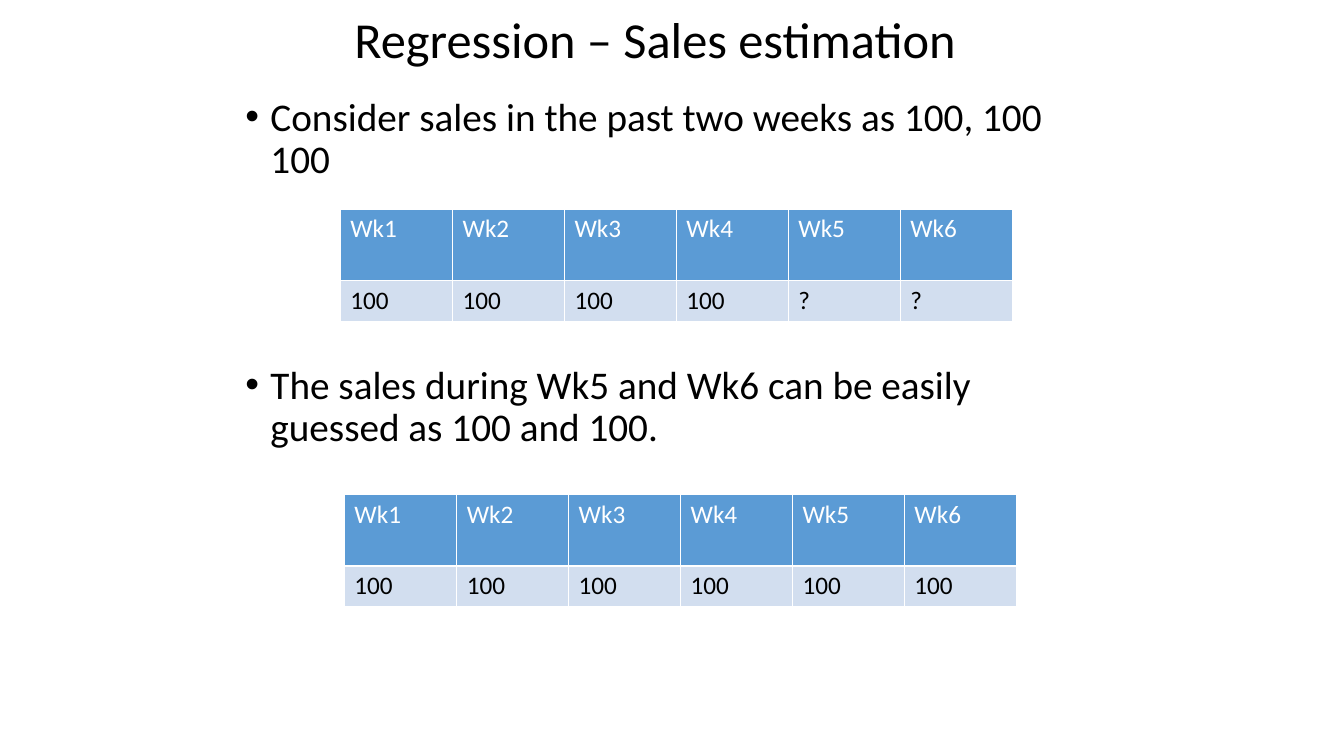
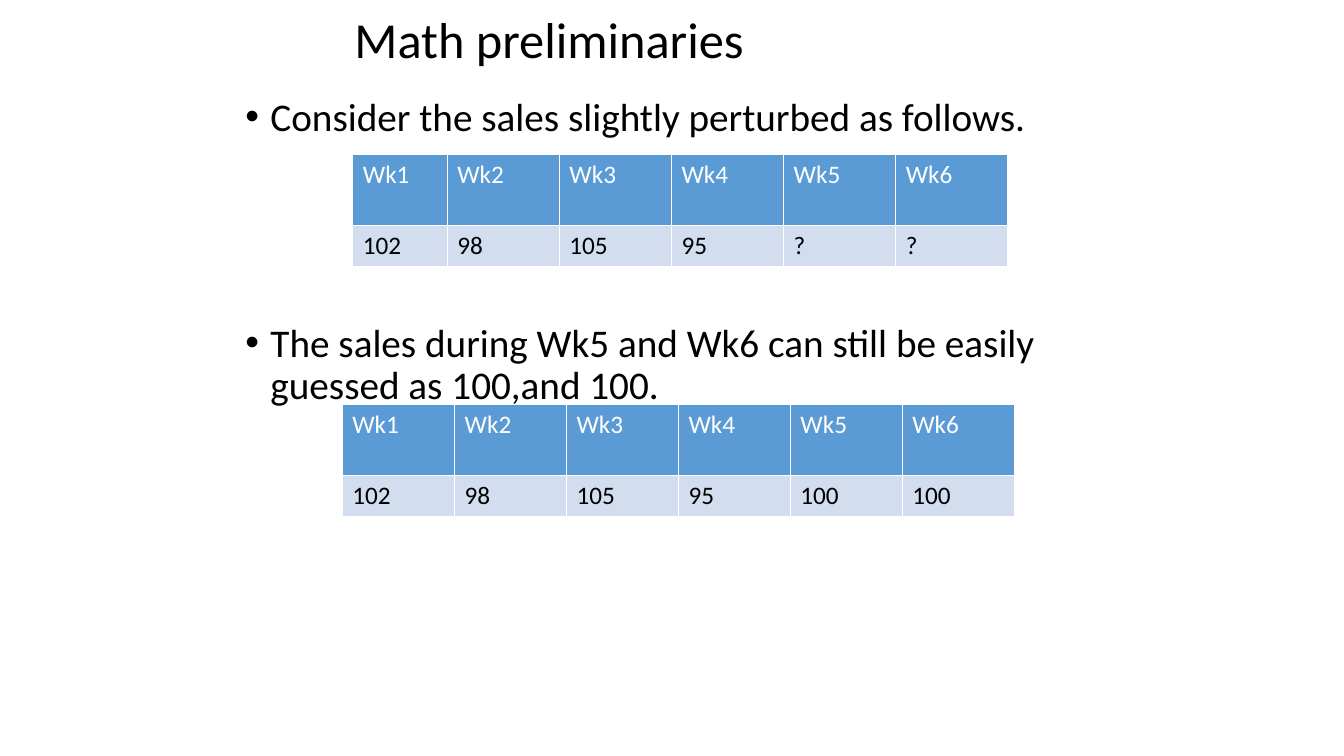
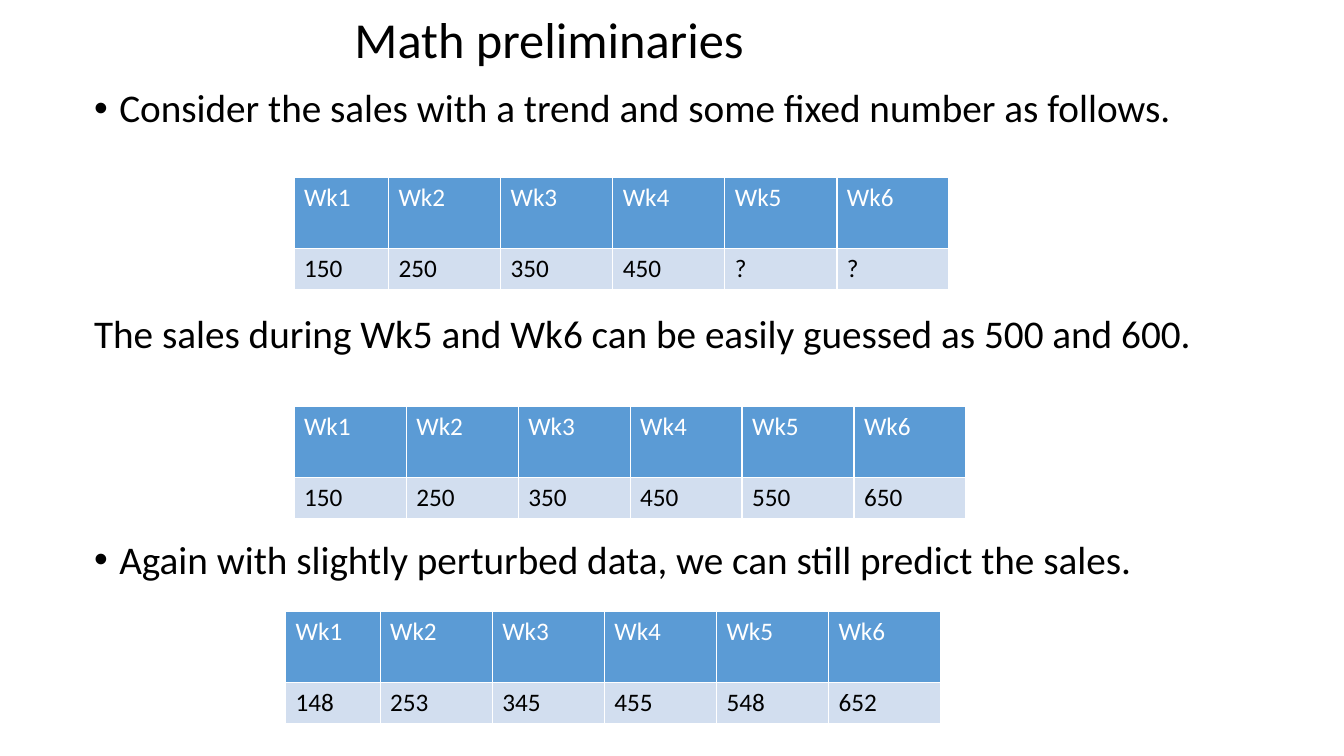
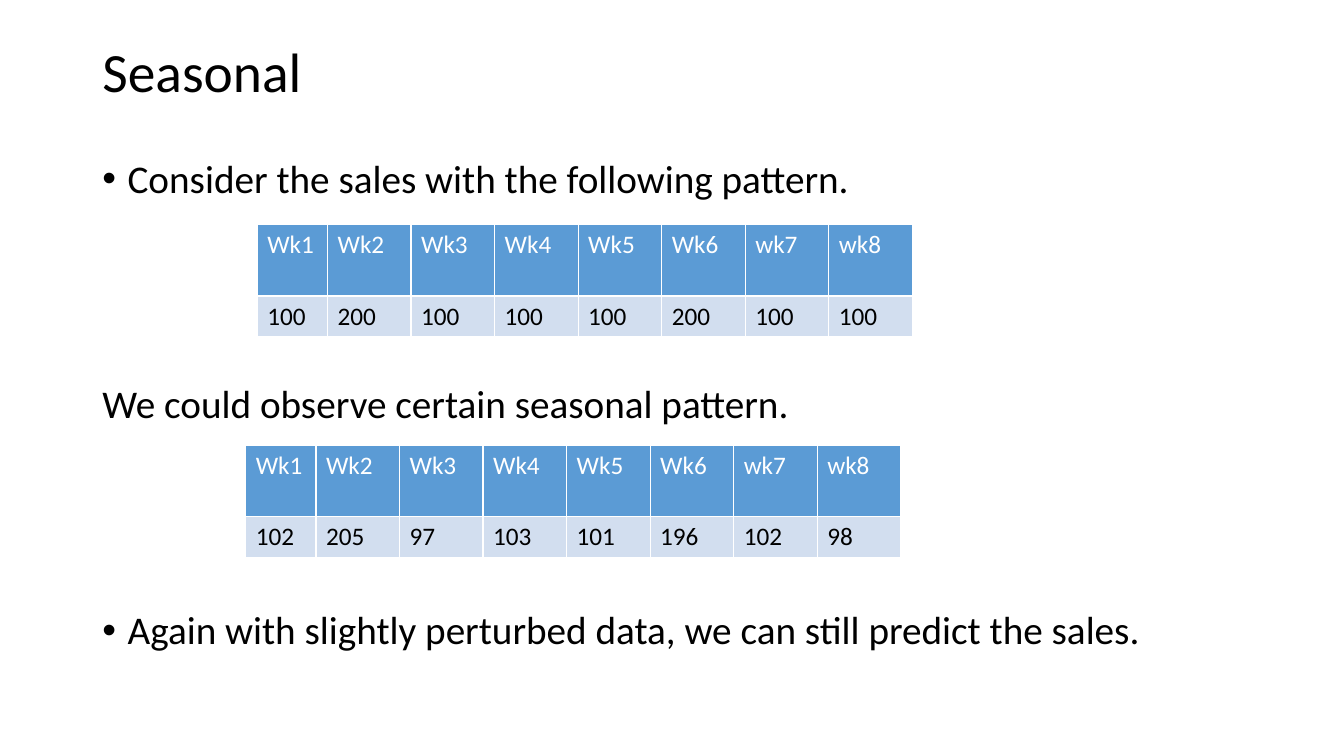
import pptx
import pptx.dml.color
import pptx.enum.text
import pptx.oxml
import pptx.oxml.ns
import pptx.util

PX = 9525
FONT = "Calibri"
COLORS = {"text": "000000", "header": "5B9BD5", "header_text": "FFFFFF", "values": "D2DEEF"}
HEADER_HEIGHT, VALUES_HEIGHT = 68, 39
TABLE_GAP = 131  # points left between paragraphs for a table
BULLET_INDENT = 24

SIX_WEEKS = ["Wk1", "Wk2", "Wk3", "Wk4", "Wk5", "Wk6"]
EIGHT_WEEKS = SIX_WEEKS + ["wk7", "wk8"]
TITLE_BOX = (328, 0, 637, 80)
NARROW_BODY = (224, 88, 840, 600)

# Points: (text, bulleted). Tables: (left, top, width, first column width, weeks, sales).
SLIDES = [
    {
        "title": "Regression – Sales estimation", "title_box": TITLE_BOX, "title_size": 36,
        "body_box": NARROW_BODY,
        "points": [
            ("Consider sales in the past two weeks as 100, 100 100", True),
            ("The sales during Wk5 and Wk6 can be easily guessed as 100 and 100.", True),
        ],
        "tables": [
            (324, 199, 640, 107, SIX_WEEKS, [100, 100, 100, 100, "?", "?"]),
            (328, 471, 640, 107, SIX_WEEKS, [100] * 6),
        ],
    },
    {
        "title": "Math preliminaries", "title_box": TITLE_BOX, "title_size": 36,
        "body_box": NARROW_BODY,
        "points": [
            ("Consider the sales slightly perturbed as follows.", True),
            ("The sales during Wk5 and Wk6 can still be easily guessed as 100,and 100.", True),
        ],
        "tables": [
            (336, 147, 624, 90, SIX_WEEKS, [102, 98, 105, 95, "?", "?"]),
            (326, 385, 640, 107, SIX_WEEKS, [102, 98, 105, 95, 100, 100]),
        ],
    },
    {
        "title": "Math preliminaries", "title_box": TITLE_BOX, "title_size": 36,
        "body_box": (80, 80, 1148, 608),
        "points": [
            ("Consider the sales with a trend and some fixed number as follows.", True),
            ("The sales during Wk5 and Wk6 can be easily guessed as 500 and 600.", False),
            ("Again with slightly perturbed data, we can still predict the sales.", True),
        ],
        "tables": [
            (280, 169, 624, 90, SIX_WEEKS, [150, 250, 350, 450, "?", "?"]),
            (280, 387, 640, 107, SIX_WEEKS, [150, 250, 350, 450, 550, 650]),
            (272, 582, 624, 90, SIX_WEEKS, [148, 253, 345, 455, 548, 652]),
        ],
    },
    {
        "title": "Seasonal", "title_box": (88, 38, 1104, 66), "title_size": 39.6,
        "body_box": (88, 147, 1140, 541),
        "points": [
            ("Consider the sales with the following pattern.", True),
            ("We could observe certain seasonal pattern.", False),
            ("Again with slightly perturbed data, we can still predict the sales.", True),
        ],
        "tables": [
            (245, 214, 624, 67, EIGHT_WEEKS, [100, 200, 100, 100, 100, 200, 100, 100]),
            (234, 424, 624, 67, EIGHT_WEEKS, [102, 205, 97, 103, 101, 196, 102, 98]),
        ],
    },
]


def place(placeholder, box):
    placeholder.left, placeholder.top, placeholder.width, placeholder.height = (n * PX for n in box)
    placeholder.text_frame.word_wrap = True
    placeholder.text_frame.auto_size = pptx.enum.text.MSO_AUTO_SIZE.NONE


def style_paragraph(paragraph, size, color):
    paragraph.alignment = pptx.enum.text.PP_ALIGN.LEFT
    for run in paragraph.runs:
        run.font.name = FONT
        run.font.size = pptx.util.Pt(size)
        run.font.bold = False
        run.font.color.rgb = pptx.dml.color.RGBColor.from_string(COLORS[color])


deck = pptx.Presentation()
deck.slide_width, deck.slide_height = 1280 * PX, 720 * PX

for content in SLIDES:
    slide = deck.slides.add_slide(deck.slide_layouts[1])

    title = slide.shapes.title
    place(title, content["title_box"])
    title.text_frame.text = content["title"]
    title.text_frame.vertical_anchor = pptx.enum.text.MSO_ANCHOR.MIDDLE
    title.text_frame.paragraphs[0].line_spacing = 0.9
    style_paragraph(title.text_frame.paragraphs[0], content["title_size"], "text")

    body = slide.placeholders[1]
    place(body, content["body_box"])
    body.text_frame.text = "\n".join(text for text, _ in content["points"])
    for number, point in enumerate(body.text_frame.paragraphs):
        bulleted = content["points"][number][1]
        point.line_spacing = 0.9
        point.space_before = pptx.util.Pt(TABLE_GAP if number else 10)
        style_paragraph(point, 28, "text")
        indent = BULLET_INDENT * PX if bulleted else 0
        properties = point._p.get_or_add_pPr()
        properties.set("marL", str(indent))
        properties.set("indent", str(-indent))
        bullet = '<a:buChar {} char="•"/>' if bulleted else "<a:buNone {}/>"
        properties.append(pptx.oxml.parse_xml(bullet.format(pptx.oxml.ns.nsdecls("a"))))

    for left, top, width, first_width, weeks, sales in content["tables"]:
        table = slide.shapes.add_table(
            2, len(weeks), left * PX, top * PX, width * PX, (HEADER_HEIGHT + VALUES_HEIGHT) * PX
        ).table
        table.rows[0].height = HEADER_HEIGHT * PX
        table.rows[1].height = VALUES_HEIGHT * PX
        other_width = (width - first_width) * PX // (len(weeks) - 1)
        for number, column in enumerate(table.columns):
            column.width = other_width if number else first_width * PX
        row_styles = [(weeks, "header", "header_text"), (sales, "values", "text")]
        for row, (entries, fill, text_color) in zip(table.rows, row_styles):
            for cell, entry in zip(row.cells, entries):
                cell.text_frame.text = str(entry)
                cell.fill.solid()
                cell.fill.fore_color.rgb = pptx.dml.color.RGBColor.from_string(COLORS[fill])
                style_paragraph(cell.text_frame.paragraphs[0], 18, text_color)

deck.save("out.pptx")
